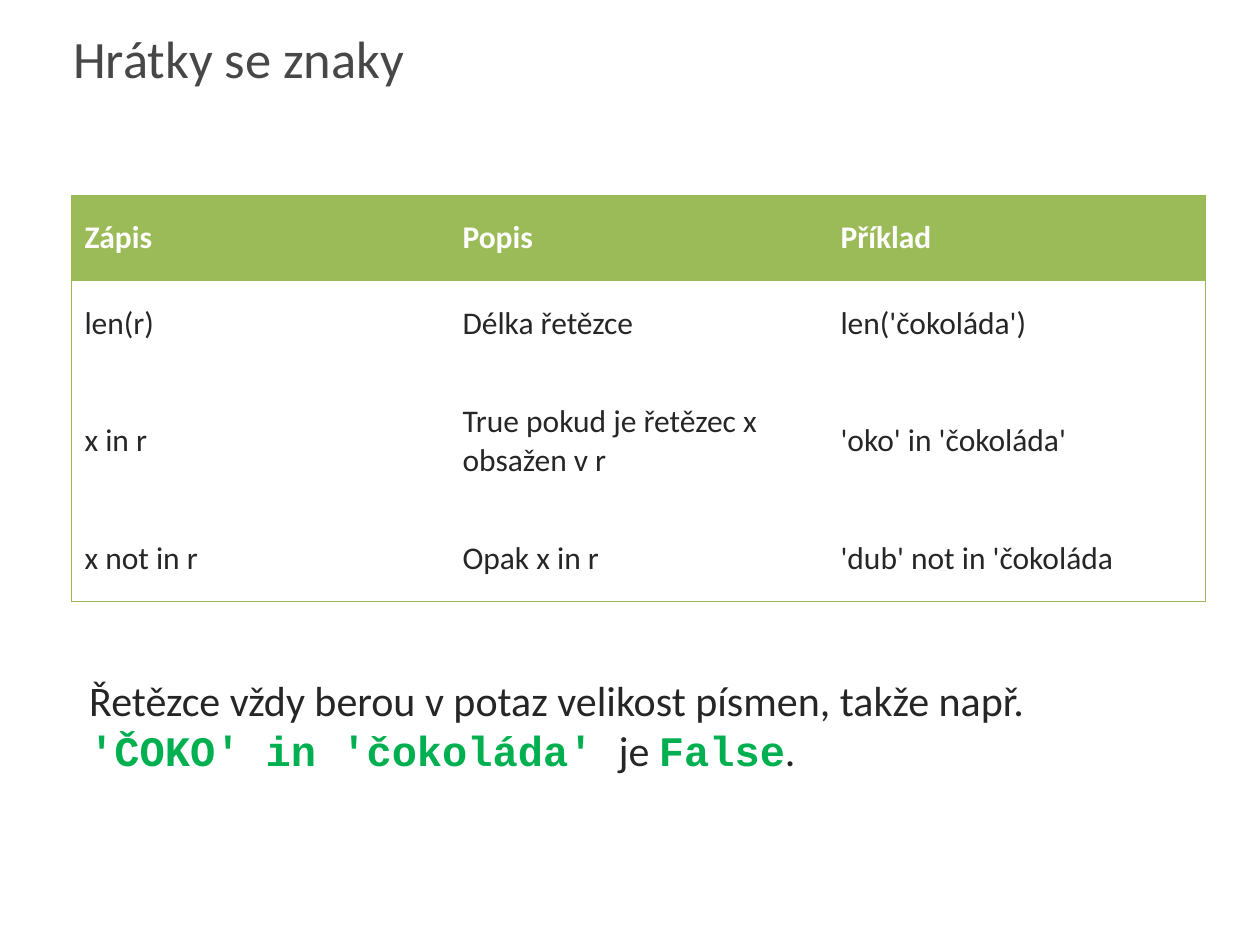
from dataclasses import dataclass

from lxml.etree import SubElement
from pptx import Presentation
from pptx.dml.color import RGBColor
from pptx.enum.text import MSO_ANCHOR, PP_ALIGN
from pptx.oxml.ns import qn
from pptx.util import Cm, Pt


@dataclass(frozen=True)
class Theme:
    """Colours, fonts and type sizes of the slide."""
    title: str = "474747"
    body: str = "262626"
    code: str = "00B050"
    header_text: str = "FFFFFF"
    header_fill: str = "9BBB59"
    border: str = "98B955"
    body_font: str = "Calibri"
    code_font: str = "Courier New"
    title_size: float = 30
    table_size: float = 18
    note_size: float = 24
    border_width: float = 0.75


THEME = Theme()
NO_STYLE_NO_GRID = "{2D5ABB26-0587-4C30-8999-92F81FD0307C}"
ROWS = [
    ("Zápis", "Popis", "Příklad"),
    ("len(r)", "Délka řetězce", "len('čokoláda')"),
    ("x\u00a0in\u00a0r", "True pokud je řetězec x obsažen v r", "'oko' in 'čokoláda'"),
    ("x\u00a0not\u00a0in\u00a0r", "Opak x in r", "'dub' not in 'čokoláda"),
]
ROW_HEIGHTS = [Cm(1.72), Cm(1.72), Cm(3.02), Cm(1.72)]
NOTE = [
    ("Řetězce vždy berou v potaz velikost písmen, takže např. ", False),
    ("'ČOKO' in 'čokoláda' ", True),
    ("je ", False),
    ("False", True),
    (". ", False),
]


def apply_format(target, values):
    """Set every attribute named in values on target."""
    for name, value in values.items():
        setattr(target, name, value)


def add_run(paragraph, text, size, color, font=THEME.body_font, bold=False):
    """Append one formatted run to a paragraph."""
    run = paragraph.add_run()
    run.text = text
    apply_format(run.font, {"name": font, "size": Pt(size), "bold": bold})
    run.font.color.rgb = RGBColor.from_string(color)


def add_border(cell, side):
    """Draw one edge (L, R, T or B) of a table cell."""
    line = SubElement(cell._tc.get_or_add_tcPr(), qn(f"a:ln{side}"),
                      w=str(Pt(THEME.border_width)))
    fill = SubElement(line, qn("a:solidFill"))
    SubElement(fill, qn("a:srgbClr"), val=THEME.border)


def fill_title(slide, left, top, width, height):
    """Place the title placeholder and write the heading."""
    title = slide.shapes.title
    apply_format(title, {"left": left, "top": top, "width": width, "height": height})
    apply_format(title.text_frame, {"vertical_anchor": MSO_ANCHOR.MIDDLE, "word_wrap": True})
    paragraph = title.text_frame.paragraphs[0]
    paragraph.alignment = PP_ALIGN.LEFT
    add_run(paragraph, "Hrátky se znaky", THEME.title_size, THEME.title)


def add_operations_table(slide, left, top, width):
    """Add the table of string operations with an outer frame."""
    last_row, last_column = len(ROWS) - 1, len(ROWS[0]) - 1
    table = slide.shapes.add_table(len(ROWS), len(ROWS[0]), left, top, width,
                                   sum(ROW_HEIGHTS)).table
    table._tbl.tblPr.find(qn("a:tableStyleId")).text = NO_STYLE_NO_GRID
    table.horz_banding = False
    for row_index, (texts, height) in enumerate(zip(ROWS, ROW_HEIGHTS)):
        table.rows[row_index].height = height
        header = row_index == 0
        for column_index, text in enumerate(texts):
            cell = table.cell(row_index, column_index)
            cell.vertical_anchor = MSO_ANCHOR.MIDDLE
            add_run(cell.text_frame.paragraphs[0], text, THEME.table_size,
                    THEME.header_text if header else THEME.body, bold=header)
            outer_edges = {"L": column_index == 0, "R": column_index == last_column,
                           "T": header, "B": row_index == last_row}
            for side, is_outer in outer_edges.items():
                if is_outer:
                    add_border(cell, side)
            if header:
                cell.fill.solid()
                cell.fill.fore_color.rgb = RGBColor.from_string(THEME.header_fill)
            else:
                cell.fill.background()


def add_note(slide, left, top, width, height):
    """Add the remark on letter case, with code in a monospaced face."""
    frame = slide.shapes.add_textbox(left, top, width, height).text_frame
    apply_format(frame, {"word_wrap": True, "vertical_anchor": MSO_ANCHOR.MIDDLE})
    for text, is_code in NOTE:
        color, font = ((THEME.code, THEME.code_font) if is_code
                       else (THEME.body, THEME.body_font))
        add_run(frame.paragraphs[0], text, THEME.note_size, color, font, is_code)


def build_slide(presentation):
    """Assemble the slide from its three regions."""
    slide = presentation.slides.add_slide(presentation.slide_layouts[5])
    fill_title(slide, Cm(1.22), Cm(0.2), Cm(23.34), Cm(1.9))
    add_operations_table(slide, Cm(1.45), Cm(3.94), Cm(22.86))
    add_note(slide, Cm(1.55), Cm(13.46), Cm(20.96), Cm(2.31))


presentation = Presentation()
apply_format(presentation, {"slide_width": Cm(25.4), "slide_height": Cm(19.05)})
build_slide(presentation)
presentation.save("out.pptx")
